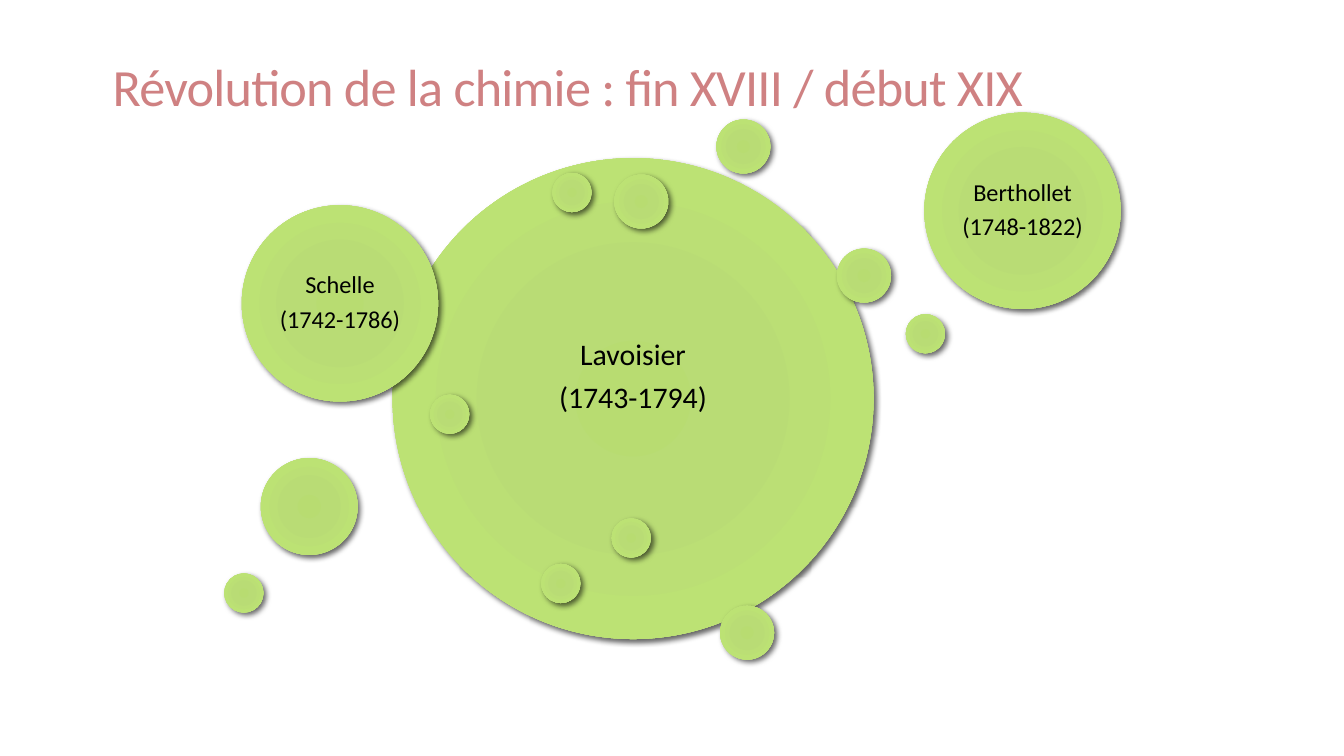
from lxml import etree
from pptx import Presentation
from pptx import util as u
from pptx.dml import color
from pptx.enum import shapes, text
from pptx.oxml import ns

COLORS = {
    "title": "CF8182",
    "name": "000000",
    "shadow": "000000",
    "core": "B8DC71",
    "inner": "B9DC75",
    "outer": "BCE274",
    "rim": "C2E383",
}
GRADIENT = [(0, "core"), (34, "inner"), (70, "outer"), (100, "rim")]
FONT = "Calibri"

LARGE, MEDIUM, ROUND, SMALL, TINY = 9.09, 3.71, 1.83, 1.02, 0.74
BUBBLES = [
    (3.18, 0.86, LARGE, ("Lavoisier", "(1743-1794)")),
    (9.3, 0.13, SMALL, ()),
    (5.99, 8.53, TINY, ()),
    (12.88, 3.81, TINY, ()),
    (9.37, 9.32, SMALL, ()),
    (6.2, 1.14, TINY, ()),
    (3.89, 5.33, TINY, ()),
    (0.33, 1.75, MEDIUM, ("Schelle", "(1742-1786)")),
    (7.37, 1.17, SMALL, ()),
    (0.69, 6.53, ROUND, ()),
    (13.23, 0, MEDIUM, ("Berthollet", "(1748-1822)")),
    (11.58, 2.57, SMALL, ()),
    (0, 8.71, TINY, ()),
    (7.32, 7.67, TINY, ()),
]
LABEL_STYLES = {LARGE: (16, 0.18, 0.81), MEDIUM: (13, 0.13, 0)}


def add_run(paragraph, words, size, color_name):
    run = paragraph.add_run()
    run.text = words
    run.font.name = FONT
    run.font.size = u.Pt(size)
    run.font.color.rgb = color.RGBColor.from_string(COLORS[color_name])
    return run


def add_title(slide, left, top, width, height):
    title = slide.shapes.add_textbox(u.Cm(left), u.Cm(top), u.Cm(width), u.Cm(height))
    frame = title.text_frame
    frame.word_wrap = True
    frame.vertical_anchor = text.MSO_ANCHOR.BOTTOM
    paragraph = frame.paragraphs[0]
    paragraph.line_spacing = 0.85
    run = add_run(paragraph, "Révolution de la chimie : fin XVIII / début XIX", 28, "title")
    run.font._element.set("spc", "-40")


def style_bubble(bubble):
    bubble.line.fill.background()
    stops = "".join(
        f'<a:gs pos="{percent * 1000}"><a:srgbClr val="{COLORS[name]}"/></a:gs>'
        for percent, name in GRADIENT
    )
    gradient = etree.fromstring(
        f'<a:gradFill {ns.nsdecls("a")} rotWithShape="1"><a:gsLst>{stops}</a:gsLst>'
        '<a:path path="circle"><a:fillToRect l="100000" t="100000" r="100000" b="100000"/>'
        '</a:path></a:gradFill>'
    )
    shadow = etree.fromstring(
        f'<a:effectLst {ns.nsdecls("a")}><a:outerShdw blurRad="{u.Pt(3)}" dist="{u.Pt(2)}" '
        f'dir="2700000" algn="ctr" rotWithShape="0"><a:srgbClr val="{COLORS["shadow"]}">'
        '<a:alpha val="60000"/></a:srgbClr></a:outerShdw></a:effectLst>'
    )
    properties = bubble._element.spPr
    properties.find(ns.qn("a:prstGeom")).addnext(gradient)
    properties.find(ns.qn("a:ln")).addnext(shadow)


def add_label(bubble, lines, size, inset, lift):
    frame = bubble.text_frame
    frame.word_wrap = True
    frame.vertical_anchor = text.MSO_ANCHOR.MIDDLE
    frame.margin_left = frame.margin_right = frame.margin_top = u.Cm(inset)
    frame.margin_bottom = u.Cm(inset + lift)
    for index, line in enumerate(lines):
        paragraph = frame.add_paragraph() if index else frame.paragraphs[0]
        paragraph.alignment = text.PP_ALIGN.CENTER
        paragraph.line_spacing = 0.9
        paragraph.space_after = u.Pt(round(size * 0.35, 1))
        add_run(paragraph, line, size, "name")


def add_bubbles(slide, left, top):
    for x, y, diameter, lines in BUBBLES:
        bubble = slide.shapes.add_shape(
            shapes.MSO_SHAPE.OVAL,
            u.Cm(left + x), u.Cm(top + y), u.Cm(diameter), u.Cm(diameter),
        )
        style_bubble(bubble)
        if lines:
            add_label(bubble, lines, *LABEL_STYLES[diameter])


def main():
    deck = Presentation()
    deck.slide_width, deck.slide_height = u.Cm(25.4), u.Cm(14.29)
    slide = deck.slides.add_slide(deck.slide_layouts[6])
    add_title(slide, 1.88, 0.41, 20.96, 1.93)
    add_bubbles(slide, 4.24, 2.13)
    deck.save("out.pptx")


if __name__ == "__main__":
    main()
